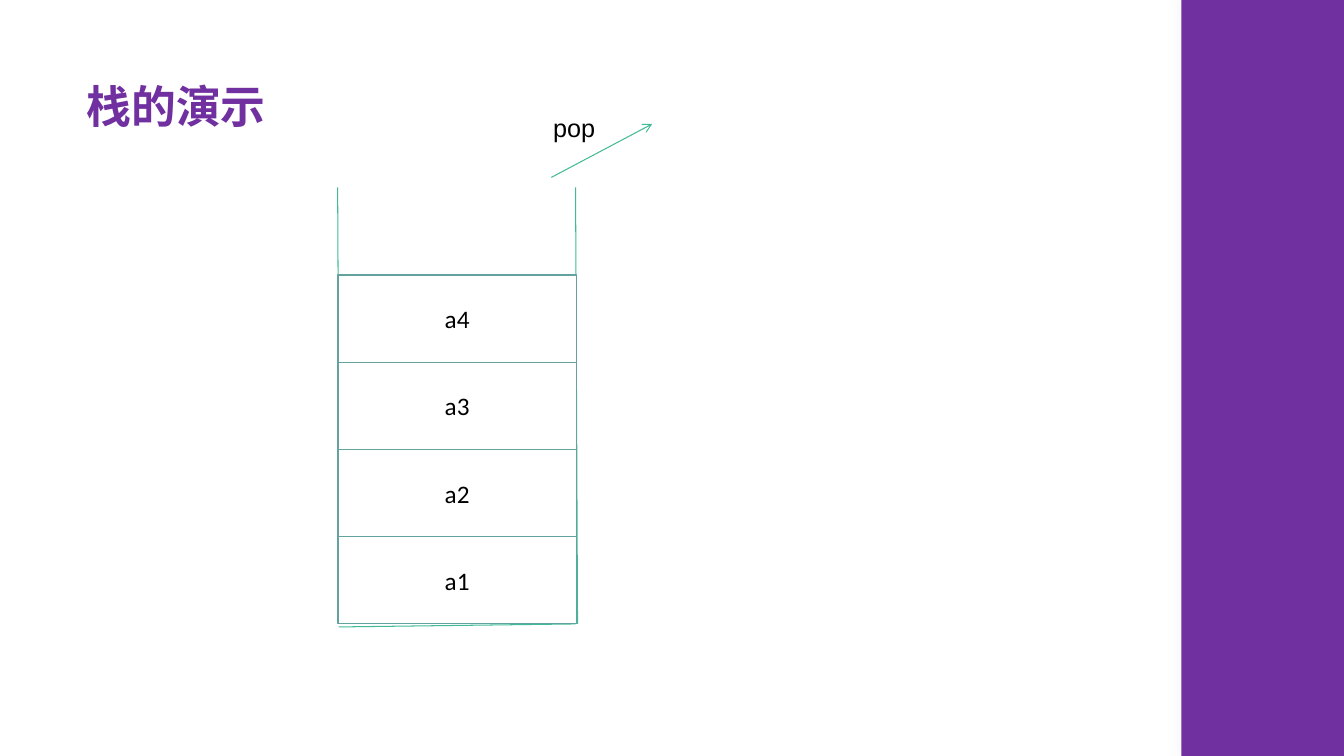
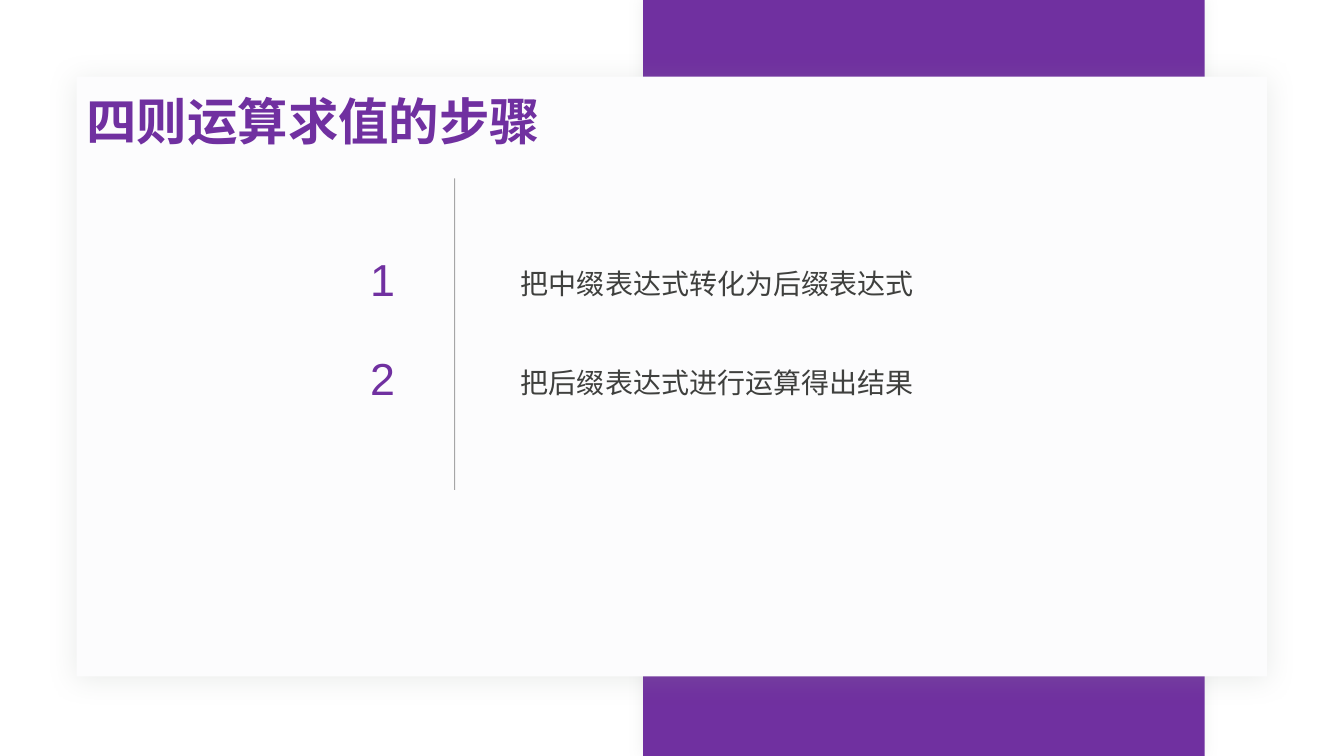
from dataclasses import dataclass

from lxml import etree
from pptx import Presentation
from pptx import util as u
from pptx.dml.color import RGBColor
from pptx.enum import shapes, text
from pptx.oxml import ns


@dataclass(frozen=True)
class Theme:
    main: str = "7030A0"
    paper: str = "FFFFFF"
    card: str = "FCFCFD"
    ink: str = "000000"
    body: str = "3F403E"
    rule: str = "262626"
    edge: str = "62A39F"
    wire: str = "42BA97"
    head: str = "Arial"
    font: str = "Calibri"
    title: int = 32
    large: int = 36
    label: int = 18
    item: int = 20
    number: int = 32
    thin: float = 0.75
    thick: float = 1.25
    # Shadows: colour, opacity %, blur pt, distance pt, angle
    glow: tuple = ("D5D7D5", 40, 10, 0, 0)
    drop: tuple = ("969F98", 20, 20, 3, 90)


def add(node, tag, **attrs):
    """Append a DrawingML child to an XML node."""
    return etree.SubElement(node, ns.qn("a:" + tag),
                            {key: str(val) for key, val in attrs.items()})


class Deck:
    cols, rows = 40, 22.5

    def __init__(self, theme):
        self.theme = theme
        self.file = Presentation()
        self.file.slide_width = u.Inches(13.333)
        self.file.slide_height = u.Inches(7.5)
        self.slide = None

    def page(self):
        self.slide = self.file.slides.add_slide(self.file.slide_layouts[6])

    def grid(self, *vals):
        """Turn alternating column and row counts into lengths."""
        units = (self.file.slide_width / self.cols,
                 self.file.slide_height / self.rows)
        return [round(val * units[i % 2]) for i, val in enumerate(vals)]

    def fill_text(self, frame, words, size, color, font, bold=False,
                  align=None):
        frame.text = words
        para = frame.paragraphs[0]
        para.alignment = align
        para.font.size = u.Pt(size)
        para.font.name = font
        para.font.bold = bold
        para.font.color.rgb = RGBColor.from_string(color)
        return para

    def label(self, box, words, size, color, font, wrap=True, **style):
        frame = self.slide.shapes.add_textbox(*self.grid(*box)).text_frame
        frame.word_wrap = wrap
        frame.auto_size = text.MSO_AUTO_SIZE.SHAPE_TO_FIT_TEXT
        return self.fill_text(frame, words, size, color, font, **style)

    def title(self, box, words, size, wrap=True):
        self.label(box, words, size, self.theme.main, self.theme.head,
                   wrap, bold=True)

    def rect(self, box, fill, edge=None, shade=None):
        shape = self.slide.shapes.add_shape(
            shapes.MSO_SHAPE.RECTANGLE, *self.grid(*box))
        shape.fill.solid()
        shape.fill.fore_color.rgb = RGBColor.from_string(fill)
        if edge:
            shape.line.color.rgb = RGBColor.from_string(edge)
            shape.line.width = u.Pt(self.theme.thick)
        else:
            shape.line.fill.background()
        shape.shadow.inherit = False
        if shade:
            color, alpha, blur, dist, angle = shade
            effects = shape.element.spPr.find(ns.qn("a:effectLst"))
            outer = add(effects, "outerShdw", blurRad=u.Pt(blur),
                        dist=u.Pt(dist), dir=angle * 60000, rotWithShape=0)
            add(add(outer, "srgbClr", val=color), "alpha", val=alpha * 1000)
        return shape

    def band(self, left, width):
        self.rect((left, 0, width, self.rows), self.theme.main,
                  shade=self.theme.glow)

    def cell(self, box, words):
        look = self.theme
        frame = self.rect(box, look.paper, look.edge).text_frame
        frame.vertical_anchor = text.MSO_ANCHOR.MIDDLE
        self.fill_text(frame, words, look.label, look.ink, look.font,
                       align=text.PP_ALIGN.CENTER)

    def line(self, ends, color, arrow=False, alpha=100):
        wire = self.slide.shapes.add_connector(
            shapes.MSO_CONNECTOR.STRAIGHT, *self.grid(*ends))
        wire.line.color.rgb = RGBColor.from_string(color)
        wire.line.width = u.Pt(self.theme.thin)
        props = wire.element.spPr
        if alpha < 100:
            add(next(props.iter(ns.qn("a:srgbClr"))), "alpha",
                val=alpha * 1000)
        if arrow:
            add(props.find(ns.qn("a:ln")), "tailEnd", type="arrow")
        add(props, "effectLst")

    def step(self, top, number, words):
        look = self.theme
        self.label((10.72, top, 1.17, 1.92), number, look.number,
                   look.main, look.head, align=text.PP_ALIGN.CENTER)
        para = self.label((15.21, top + 0.24, 17.16, 1.44), words,
                          look.item, look.body, look.font)
        para.line_spacing = 1.2


look = Theme()
deck = Deck(look)

# Slide 1: stack with its open box and the pop arrow
deck.page()
deck.title((2.28, 2.19, 6, 1.92), "栈的演示", look.title, wrap=False)
deck.band(35.16, 4.84)
deck.line((10.08, 18.66, 17.13, 18.57), look.wire)
for low, high in ((10.11, 10.05), (17.19, 17.13)):
    deck.line((low, 18.57, high, 5.58), look.wire)
deck.line((16.41, 5.28, 19.41, 3.69), look.wire, arrow=True)
deck.label((16.17, 3.21, 2.52, 1.2), "pop", look.label, look.ink, look.head)
for i, name in enumerate(("a1", "a2", "a3", "a4")):
    deck.cell((10.05, 15.96 - 2.59 * i, 7.11, 2.6), name)

# Slide 2: numbered steps on a card
deck.page()
deck.band(19.14, 16.71)
deck.rect((2.28, 2.28, 35.43, 17.85), look.card, shade=look.drop)
deck.title((2.28, 2.52, 15.57, 2.13), "四则运算求值的步骤", look.large)
deck.line((13.53, 14.58, 13.53, 5.31), look.rule, alpha=40)
steps = ("把中缀表达式转化为后缀表达式", "把后缀表达式进行运算得出结果")
for i, words in enumerate(steps):
    deck.step(7.35 + 2.94 * i, str(i + 1), words)

deck.file.save("out.pptx")
